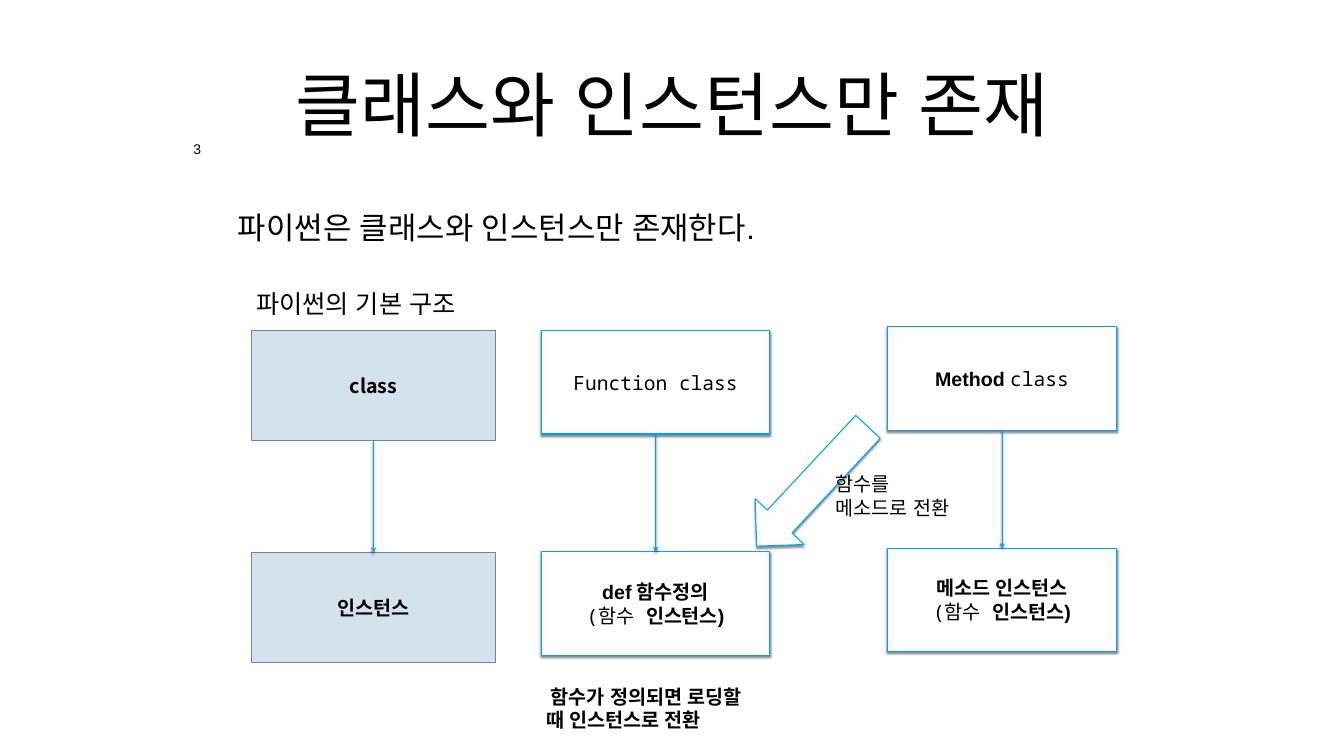
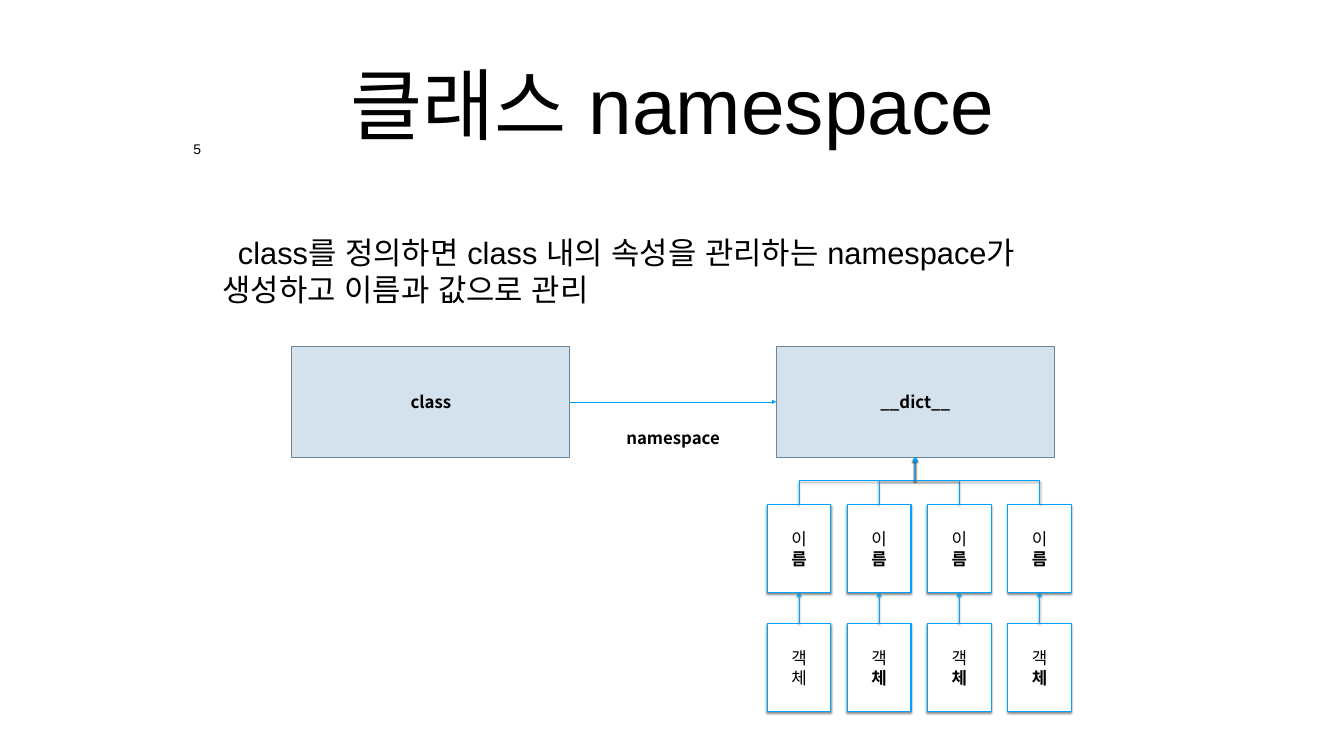
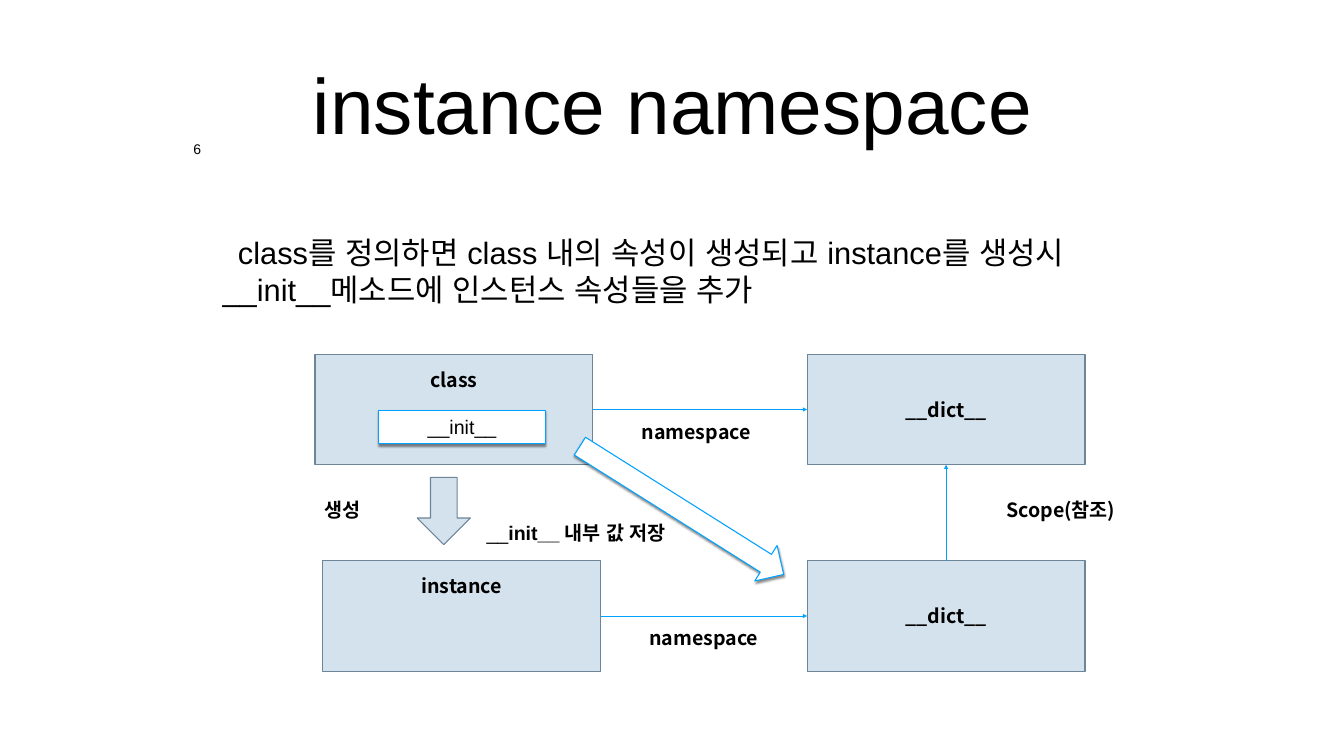
from lxml import etree
from pptx import Presentation
from pptx.dml.color import RGBColor
from pptx.enum.shapes import MSO_CONNECTOR, MSO_SHAPE
from pptx.enum.text import MSO_ANCHOR, MSO_AUTO_SIZE, PP_ALIGN
from pptx.oxml.ns import qn
from pptx.util import Pt

# Shared look
BLACK = RGBColor(0x00, 0x00, 0x00)
WHITE = RGBColor(0xFF, 0xFF, 0xFF)
PALE = RGBColor(0xD4, 0xE2, 0xED)
SLATE = RGBColor(0x6C, 0x85, 0x99)
BLUE = RGBColor(0x00, 0xA2, 0xFF)
PLAIN, STRONG = ("Arial", False), ("Arial", True)
MONO, KOREAN = ("Noto Sans Mono", False), ("Noto Sans CJK KR", True)
TOP, BOTTOM, LEFT, RIGHT = 0, 2, 1, 3  # connection sites of a rectangle
LEFT_AL, CENTER = PP_ALIGN.LEFT, PP_ALIGN.CENTER

# Content: title, title size, page number, body text, body height
PAGES = [
    ("클래스와 인스턴스만 존재", 100.8, "3", "파이썬은 클래스와 인스턴스만 존재한다.", 136),
    ("클래스 namespace", 112, "5",
     "class를 정의하면 class 내의 속성을 관리하는 namespace가 생성하고 이름과 값으로 관리", 261),
    ("instance namespace", 112, "6",
     "class를 정의하면 class 내의 속성이 생성되고 instance를 생성시 "
     "__init__메소드에 인스턴스 속성들을 추가", 261),
]
FUNCTION_INSTANCE = [("(함수 ", MONO), ("인스턴스)", STRONG)]
# Structure columns: left, top, width, height, drop to lower box, raised, upper, lower
COLUMNS = [
    (359, 472, 349, 158, 317, False, [[("class", KOREAN)]], [[("인스턴스", KOREAN)]]),
    (773, 472, 327, 148, 316, True, [[("Function class", MONO)]],
     [[("def 함수정의", STRONG)], FUNCTION_INSTANCE]),
    (1268, 467, 327, 148, 316, True, [[("Method ", STRONG), ("class", MONO)]],
     [[("메소드 인스턴스", STRONG)], FUNCTION_INSTANCE]),
]
# Labels: left, top, width, height, paragraphs, size, alignment, first-line indent
STRUCTURE_LABELS = [
    (1187, 667, 193, 82, [[("함수를 메소드로 전환", PLAIN)]], 28, LEFT_AL, 0),
    (773, 971, 318, 109, [[("함수가 정의되면 로딩할 때 인스턴스로 전환", STRONG)]], 28, LEFT_AL, 7),
    (359, 404, 340, 58, [[("파이썬의 기본 구조", PLAIN)]], 36, LEFT_AL, 0),
]
NAMESPACE = [[("namespace", KOREAN)]]
DICT = [[("__dict__", KOREAN)]]
INSTANCE_LABELS = [
    (881, 593, 227, 48, NAMESPACE, 28, CENTER, 0),
    (892, 887, 227, 48, NAMESPACE, 28, CENTER, 0),
    (370, 704, 238, 48, [[("생성", KOREAN)]], 28, CENTER, 0),
    (1391, 704, 249, 48, [[("Scope(참조)", KOREAN)]], 28, CENTER, 0),
    (688, 737, 284, 48, [[("__", PLAIN), ("init__ 내부 값 저장", STRONG)]], 28, LEFT_AL, 0),
]
NAME_CELL = [[("이", MONO)], [("름", STRONG)]]
OBJECT_CELLS = [[[("객", MONO)], [("체", MONO if i == 0 else STRONG)]] for i in range(4)]


# Helpers
def points(*values):
    return [Pt(v) for v in values]


def write(frame, paragraphs, size, align=CENTER, anchor=MSO_ANCHOR.MIDDLE,
          inset=7.2, top_inset=None, indent=0, spacing=None, wrap=True):
    frame.word_wrap = wrap
    frame.auto_size = MSO_AUTO_SIZE.NONE
    frame.vertical_anchor = anchor
    frame.margin_left = frame.margin_right = frame.margin_bottom = Pt(inset)
    frame.margin_top = Pt(inset if top_inset is None else top_inset)
    for i, runs in enumerate(paragraphs):
        para = frame.paragraphs[0] if i == 0 else frame.add_paragraph()
        para.alignment = align
        if spacing:
            para.line_spacing = spacing
        if indent:
            para._p.get_or_add_pPr().set("indent", str(Pt(indent)))
        for text, (name, bold) in runs:
            run = para.add_run()
            run.text = text
            font = run.font
            font.name, font.size, font.bold = name, Pt(size), bold
            font.color.rgb = BLACK
            east_asian = etree.SubElement(run._r.rPr, qn("a:ea"))
            east_asian.set("typeface", name)


def set_shadow(item, visible):
    props = item._element.spPr
    effects = props.find(qn("a:effectLst"))
    if effects is None:
        effects = etree.SubElement(props, qn("a:effectLst"))
    if visible:
        outer = etree.SubElement(effects, qn("a:outerShdw"), blurRad=str(Pt(3)),
                                 dist=str(Pt(2.4)), dir="5400000", rotWithShape="0")
        color = etree.SubElement(outer, qn("a:srgbClr"), val="000000")
        etree.SubElement(color, qn("a:alpha"), val="45000")


def add_block(slide, place, paragraphs=(), size=28, raised=False,
              kind=MSO_SHAPE.RECTANGLE, rotation=0, **text_options):
    """Pale flat block, or white raised block with a blue outline."""
    block = slide.shapes.add_shape(kind, *points(*place))
    block.rotation = rotation
    block.fill.solid()
    block.fill.fore_color.rgb = WHITE if raised else PALE
    block.line.color.rgb = BLUE if raised else SLATE
    block.line.width = Pt(1.5)
    block.shadow.inherit = False
    set_shadow(block, raised)
    write(block.text_frame, paragraphs, size, **text_options)
    return block


def add_labels(slide, labels):
    for *place, paragraphs, size, align, indent in labels:
        box = slide.shapes.add_textbox(*points(*place))
        write(box.text_frame, paragraphs, size, align, MSO_ANCHOR.TOP, indent=indent)


def style_link(link, raised):
    link.line.color.rgb = BLUE
    link.line.width = Pt(1.5 if raised else 0.79)
    etree.SubElement(link.line._get_or_add_ln(), qn("a:tailEnd"),
                     type="arrow" if raised else "triangle")
    set_shadow(link, raised)


def add_link(slide, source, source_site, target, target_site, raised=False):
    link = slide.shapes.add_connector(MSO_CONNECTOR.STRAIGHT, 0, 0, 0, 0)
    link.begin_connect(source, source_site)
    link.end_connect(target, target_site)
    style_link(link, raised)


def add_branch(slide, child, parent):
    """Elbow from the top of child to the bottom of parent, turned upright."""
    x1, y1 = child.left + child.width // 2, child.top
    x2, y2 = parent.left + parent.width // 2, parent.top + parent.height
    rise, run = y1 - y2, abs(x2 - x1)
    left, top = (x1 + x2 - rise) // 2, (y1 + y2 - run) // 2
    link = slide.shapes.add_connector(MSO_CONNECTOR.ELBOW, left, top, left + rise, top + run)
    frame = link._element.spPr.find(qn("a:xfrm"))
    frame.set("rot", "5400000" if x1 < x2 else "16200000")
    frame.set("flipV", "1")
    if x1 < x2:
        frame.set("flipH", "1")
    style_link(link, True)


def add_page(deck, title, title_size, number, body, body_height):
    slide = deck.slides.add_slide(deck.slide_layouts[5])
    heading = slide.shapes.title
    heading.left, heading.top, heading.width, heading.height = points(346, 28, 1229, 239)
    write(heading.text_frame, [[(title, PLAIN)]], title_size, inset=6)
    text = slide.shapes.add_textbox(*points(312, 256, 1296, body_height))
    write(text.text_frame, [[(body, PLAIN)]], 44, LEFT_AL, inset=6, indent=22)
    page = slide.shapes.add_textbox(*points(271, 200, 22, 31))
    write(page.text_frame, [[(number, PLAIN)]], 20, anchor=MSO_ANCHOR.TOP,
          inset=6, spacing=0.8, wrap=False)
    return slide


deck = Presentation()
deck.slide_width, deck.slide_height = points(1920, 1080)
structure, class_space, instance_space = [add_page(deck, *page) for page in PAGES]

# Slide 1: classes above, their instances below
for left, top, width, height, drop, raised, upper, lower in COLUMNS:
    kind_box = add_block(structure, (left, top, width, height), upper, raised=raised)
    made_box = add_block(structure, (left, top + drop, width, height), lower, raised=raised)
    add_link(structure, kind_box, BOTTOM, made_box, TOP, raised=True)
add_block(structure, (1044, 647, 233, 96), raised=True,
          kind=MSO_SHAPE.RIGHT_ARROW, rotation=133)
add_labels(structure, STRUCTURE_LABELS)

# Slide 2: class namespace with a row of names over a row of objects
BOX_W, BOX_H = 397, 158
owner = add_block(class_space, (417, 495, BOX_W, BOX_H), [[("class", KOREAN)]], 24)
names = add_block(class_space, (1109, 495, BOX_W, BOX_H), DICT, 24)
add_link(class_space, owner, RIGHT, names, LEFT)
add_labels(class_space, [(848, 604, 227, 44, NAMESPACE, 24, CENTER, 0)])
CELL_W, CELL_H, CELL_STEP = 91, 125, 114.5
for i, object_cell in enumerate(OBJECT_CELLS):
    x = 1096 + i * CELL_STEP
    name = add_block(class_space, (x, 721, CELL_W, CELL_H), NAME_CELL, 24, raised=True)
    thing = add_block(class_space, (x, 891, CELL_W, CELL_H), object_cell, 24, raised=True)
    add_link(class_space, thing, TOP, name, BOTTOM, raised=True)
    add_branch(class_space, name, names)

# Slide 3: class and instance, each with its own namespace
dicts = []
for left, top, word in [(450, 506, "class"), (461, 801, "instance")]:
    holder = add_block(instance_space, (left, top, BOX_W, BOX_H), [[(word, KOREAN)]],
                       anchor=MSO_ANCHOR.TOP, top_inset=19)
    dicts.append(add_block(instance_space, (1153, top, BOX_W, BOX_H), DICT))
    add_link(instance_space, holder, RIGHT, dicts[-1], LEFT)
add_link(instance_space, dicts[1], TOP, dicts[0], BOTTOM)
add_block(instance_space, (596, 682, 76, 96), kind=MSO_SHAPE.DOWN_ARROW)
add_block(instance_space, (541, 586, 238, 48), [[("__init__", PLAIN)]], raised=True)
add_block(instance_space, (944, 557, 60, 344), raised=True,
          kind=MSO_SHAPE.DOWN_ARROW, rotation=302.2)
add_labels(instance_space, INSTANCE_LABELS)

deck.save("out.pptx")
